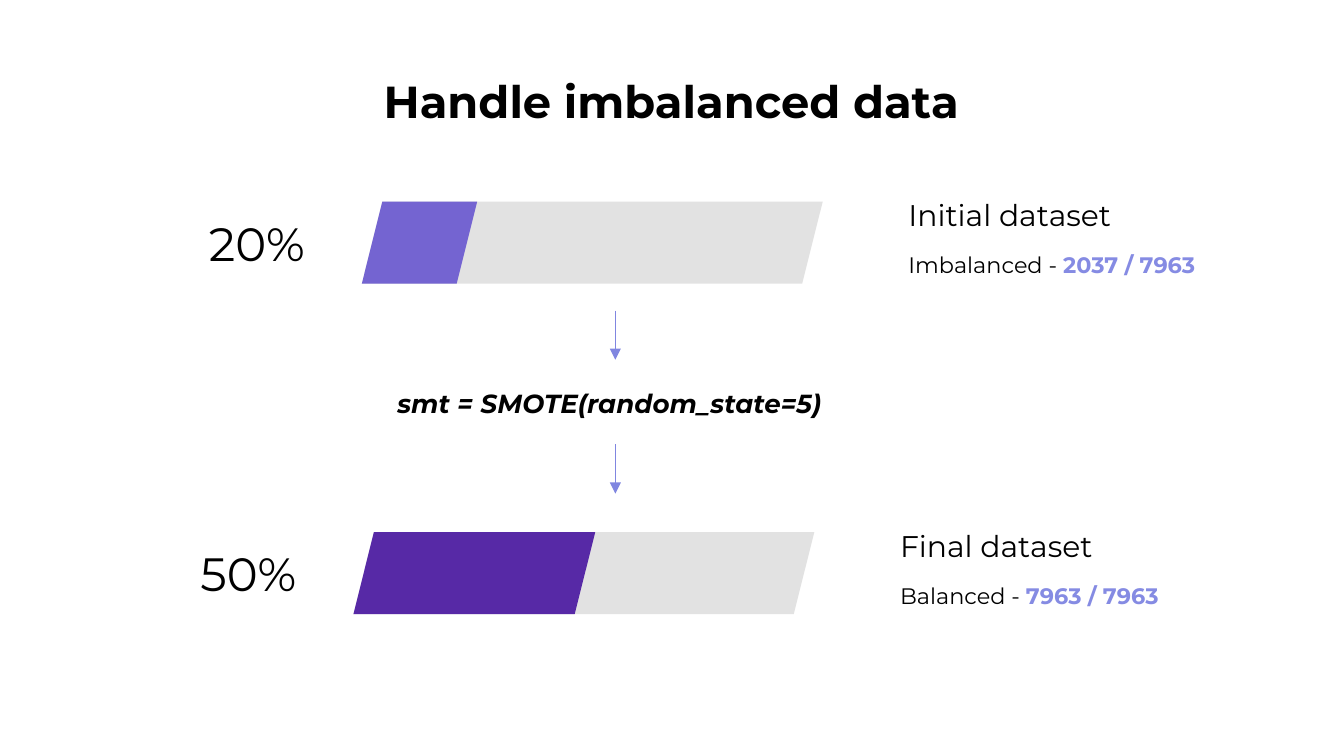
from lxml import etree
from pptx import Presentation
from pptx.dml.color import RGBColor
from pptx.enum.shapes import MSO_CONNECTOR, MSO_SHAPE
from pptx.enum.text import MSO_ANCHOR, PP_ALIGN
from pptx.oxml.ns import qn
from pptx.util import Cm, Pt

LEFT, CENTER = PP_ALIGN.LEFT, PP_ALIGN.CENTER
TOP, MIDDLE, BOTTOM = MSO_ANCHOR.TOP, MSO_ANCHOR.MIDDLE, MSO_ANCHOR.BOTTOM
PARALLELOGRAM = MSO_SHAPE.PARALLELOGRAM
STRAIGHT = MSO_CONNECTOR.STRAIGHT

FONT = "Montserrat"
COLORS = {
    "text": "000000",
    "track": "E2E2E2",
    "initial": "7464D1",
    "final": "5729A6",
    "counts": "858BE3",
    "arrow": "8086E0",
}


def rgb(name):
    return RGBColor.from_string(COLORS[name])


def add_run(p, text, size, color="text", bold=False, italic=False):
    r = p.add_run()
    r.text = text
    r.font.name = FONT
    r.font.size = Pt(size)
    r.font.color.rgb = rgb(color)
    r.font.bold = bold
    r.font.italic = italic


def add_text(s, box, text, size, align=LEFT, anchor=TOP, inset=0.25, **style):
    """Add a text box, lengths in cm, and return its paragraph."""
    tf = s.shapes.add_textbox(*map(Cm, box)).text_frame
    tf.word_wrap = True
    tf.vertical_anchor = anchor
    tf.margin_left = tf.margin_right = Cm(0.25)
    tf.margin_top = tf.margin_bottom = Cm(inset)
    p = tf.paragraphs[0]
    p.alignment = align
    add_run(p, text, size, **style)
    return p


def add_bar(s, box, color):
    sp = s.shapes.add_shape(PARALLELOGRAM, *map(Cm, box))
    sp.adjustments[0] = 0.25
    sp.shadow.inherit = False
    sp.fill.solid()
    sp.fill.fore_color.rgb = rgb(color)
    sp.line.fill.background()


def add_down_arrow(s, x, top, height):
    line = s.shapes.add_connector(STRAIGHT, Cm(x), Cm(top), Cm(x), Cm(top + height))
    line.line.color.rgb = rgb("arrow")
    line.line.width = Pt(0.75)
    etree.SubElement(line.line._get_or_add_ln(), qn("a:tailEnd"), type="triangle")
    etree.SubElement(line._element.spPr, qn("a:effectLst"))


def add_dataset(s, box, percent, fill_width, color, heading, balance, counts):
    """Place the percentage, its bar and the description side by side."""
    x, y, w, h = box
    bar_x, text_x = x + 3.23, x + 13.31
    text_w = x + w - text_x
    add_bar(s, (bar_x, y, 8.71, h), "track")
    add_bar(s, (bar_x, y, fill_width, h), color)
    add_text(s, (x, y + 0.2, 2.49, h - 0.4), percent, 25, CENTER, MIDDLE)
    add_text(s, (text_x, y - 0.2, text_w, 1.04), heading, 16, anchor=BOTTOM)
    p = add_text(s, (text_x, y + 0.69, text_w, 1.04), f"{balance} - ", 12)
    add_run(p, counts, 12, "counts", bold=True)


def add_resampling(s, box, code):
    """Place the code line between two arrows that fill the box height."""
    x, y, w, h = box
    arrow_x, arrow_h = x + 4.37, 0.93
    add_down_arrow(s, arrow_x, y, arrow_h)
    add_text(s, (x, y + 1.32, w, 0.86), code, 14, inset=0.13, bold=True, italic=True)
    add_down_arrow(s, arrow_x, y + h - arrow_h, arrow_h)


def main():
    prs = Presentation()
    prs.slide_width, prs.slide_height = Cm(25.4), Cm(14.29)
    s = prs.slides.add_slide(prs.slide_layouts[6])

    add_text(s, (1.24, 1.14, 22.89, 1.55), "Handle imbalanced data", 24, CENTER, bold=True)
    add_dataset(s, (3.61, 3.81, 20.22, 1.55), "20%", 2.18, "initial",
                "Initial dataset", "Imbalanced", "2037 / 7963")
    add_resampling(s, (7.26, 5.87, 8.71, 3.46), "smt = SMOTE(random_state=5)")
    add_dataset(s, (3.45, 10.06, 19.51, 1.55), "50%", 4.57, "final",
                "Final dataset", "Balanced", "7963 / 7963")
    prs.save("out.pptx")


if __name__ == "__main__":
    main()
